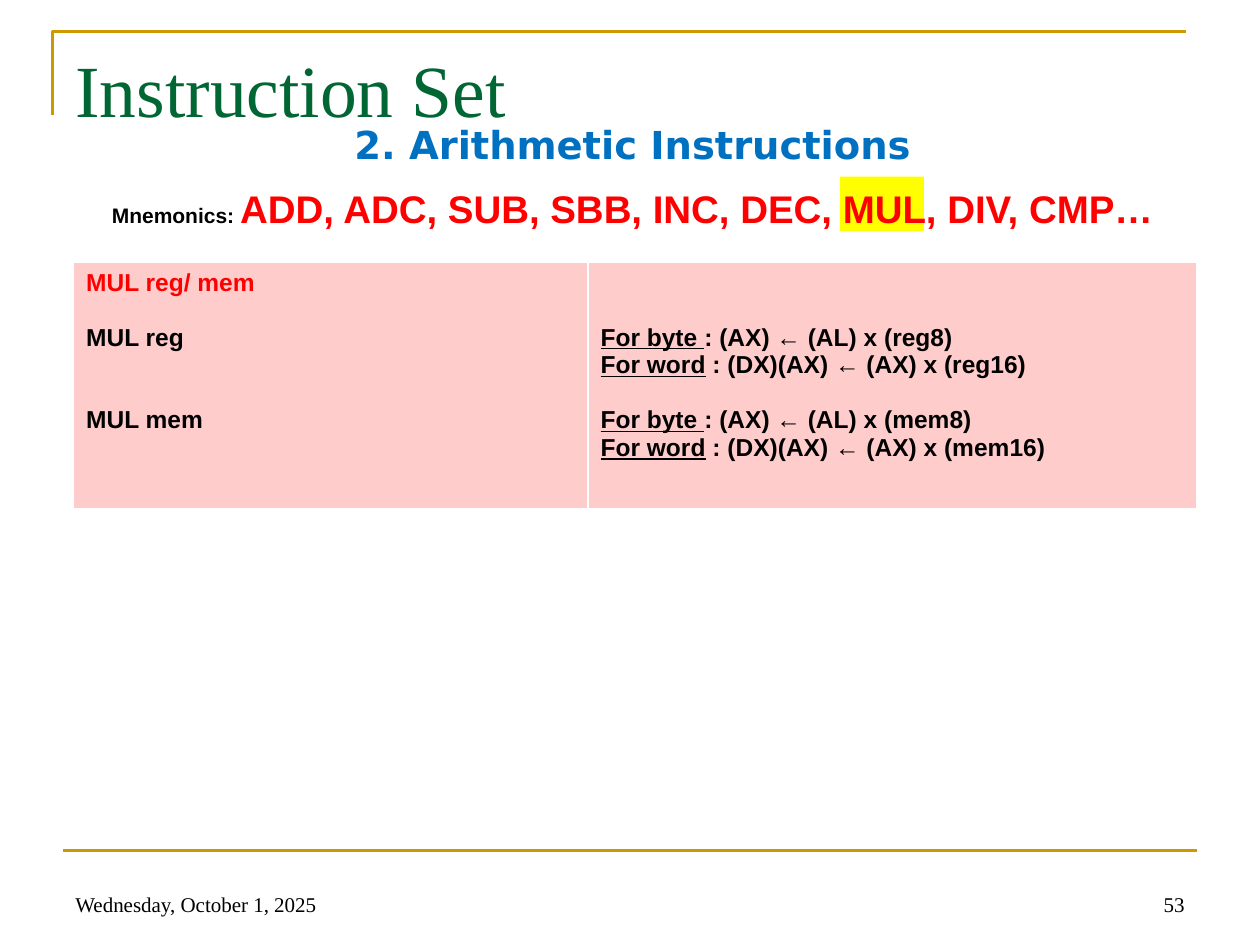
import pptx
import pptx.dml.color
import pptx.enum.shapes
import pptx.enum.text
import pptx.oxml
import pptx.oxml.ns
import pptx.util

Pt = pptx.util.Pt
ALIGN = pptx.enum.text.PP_ALIGN
ANCHOR = pptx.enum.text.MSO_ANCHOR
COLORS = {
    "gold": "CC9900", "green": "006633", "blue": "0070C0", "red": "FF0000",
    "black": "000000", "yellow": "FFFF00", "pink": "FFCCCC", "white": "FFFFFF",
}
SERIF, SANS, HEADING = "Times New Roman", "Arial", "DejaVu Sans"


def rgb(name):
    return pptx.dml.color.RGBColor.from_string(COLORS[name])


class SlideBuilder:
    """Holds the slide and the shared style of its elements."""

    rule_width = 1.5
    inset = 3.6

    def __init__(self, slide):
        self.slide = slide
        self.shapes = slide.shapes

    def style_font(self, font, size, color, name=SANS, bold=False):
        font.size, font.name, font.bold = Pt(size), name, bold
        font.color.rgb = rgb(color)

    def style_line(self, line):
        line.color.rgb = rgb("gold")
        line.width = Pt(self.rule_width)

    def corner(self, points):
        first, *rest = [(Pt(x), Pt(y)) for x, y in points]
        builder = self.shapes.build_freeform(*first, scale=1.0)
        builder.add_line_segments(rest, close=False)
        frame = builder.convert_to_shape()
        frame.shadow.inherit = False
        frame.fill.background()
        self.style_line(frame.line)

    def rule(self, x1, y1, x2, y2):
        rule = self.shapes.add_connector(
            pptx.enum.shapes.MSO_CONNECTOR.STRAIGHT, Pt(x1), Pt(y1), Pt(x2), Pt(y2))
        self.style_line(rule.line)
        properties = rule._element.spPr
        properties.append(pptx.oxml.parse_xml(
            f'<a:effectLst {pptx.oxml.ns.nsdecls("a")}/>'))

    def highlight(self, left, top, width, height):
        mark = self.shapes.add_shape(
            pptx.enum.shapes.MSO_SHAPE.RECTANGLE, Pt(left), Pt(top), Pt(width), Pt(height))
        mark.shadow.inherit = False
        mark.fill.solid()
        mark.fill.fore_color.rgb = rgb("yellow")
        mark.line.fill.background()

    def text(self, box, content, size, color, font=SANS, bold=False,
             align=ALIGN.LEFT, anchor=ANCHOR.TOP):
        frame = self.shapes.add_textbox(*map(Pt, box)).text_frame
        frame.word_wrap = True
        frame.vertical_anchor = anchor
        paragraph = frame.paragraphs[0]
        paragraph.text = content
        paragraph.alignment = align
        self.style_font(paragraph.font, size, color, font, bold)
        return paragraph

    def table(self, left, top, widths, height):
        table = self.shapes.add_table(
            1, len(widths), Pt(left), Pt(top), Pt(sum(widths)), Pt(height)).table
        table.first_row = table.horz_banding = False
        for column, width in zip(table.columns, widths):
            column.width = Pt(width)
        for cell in table.iter_cells():
            cell.fill.solid()
            cell.fill.fore_color.rgb = rgb("pink")
            self.cell_borders(cell)
        return table

    def cell_borders(self, cell):
        properties = cell._tc.get_or_add_tcPr()
        for index, (side, width) in enumerate([("L", 1), ("R", 1), ("T", 1), ("B", 3)]):
            properties.insert(index, pptx.oxml.parse_xml(
                f'<a:ln{side} {pptx.oxml.ns.nsdecls("a")} w="{Pt(width)}"><a:solidFill>'
                f'<a:srgbClr val="{COLORS["white"]}"/></a:solidFill></a:ln{side}>'))

    def fill_cell(self, cell, lines, top_inset=inset):
        """Each line is (underlined lead, rest, colour, space before)."""
        cell.margin_top = Pt(top_inset)
        frame = cell.text_frame
        for index, (lead, rest, color, gap) in enumerate(lines):
            paragraph = frame.add_paragraph() if index else frame.paragraphs[0]
            paragraph.space_before = Pt(gap)
            self.style_font(paragraph.font, 14, color, bold=True)
            if lead:
                run = paragraph.add_run()
                run.text = lead
                run.font.underline = True
            paragraph.add_run().text = rest


def main():
    deck = pptx.Presentation()
    deck.slide_width, deck.slide_height = Pt(720), Pt(540)
    page = SlideBuilder(deck.slides.add_slide(deck.slide_layouts[6]))

    page.corner([(30, 66), (30, 18), (678, 18)])
    page.rule(36, 486, 684, 486)
    page.highlight(480, 101, 48, 31)
    page.text((21, 67, 681, 31), "2. Arithmetic Instructions", 22, "blue", HEADING,
              bold=True, align=ALIGN.CENTER, anchor=ANCHOR.MIDDLE)
    page.text((36, 21.6, 648, 90), "Instruction Set", 42, "green", SERIF)
    page.text((516, 491.6, 168, 36), "53", 12, "black", SERIF,
              align=ALIGN.RIGHT, anchor=ANCHOR.BOTTOM)

    mnemonics = page.text((21, 102, 681, 32), "Mnemonics: ", 12, "black", bold=True,
                          align=ALIGN.CENTER)
    names = mnemonics.add_run()
    names.text = "ADD, ADC, SUB, SBB, INC, DEC, MUL, DIV, CMP…"
    names.font.size = Pt(22)
    names.font.color.rgb = rgb("red")

    line = 15.7
    table = page.table(42, 150, [294, 348], 141.6)
    page.fill_cell(table.cell(0, 0), [
        ("", "MUL reg/ mem", "red", 0),
        ("", "MUL reg", "black", line),
        ("", "MUL mem", "black", 2 * line),
    ])
    operations = []
    for operand, gap in [("reg", 0), ("mem", line)]:
        operations += [
            ("For byte ", f": (AX) ← (AL) x ({operand}8)", "black", gap),
            ("For word", f" : (DX)(AX) ← (AX) x ({operand}16)", "black", 0),
        ]
    page.fill_cell(table.cell(0, 1), operations, top_inset=page.inset + 2 * line)

    page.text((36, 491.6, 168, 36), "Wednesday, October 1, 2025", 12, "black", SERIF,
              anchor=ANCHOR.BOTTOM)
    deck.save("out.pptx")


if __name__ == "__main__":
    main()
